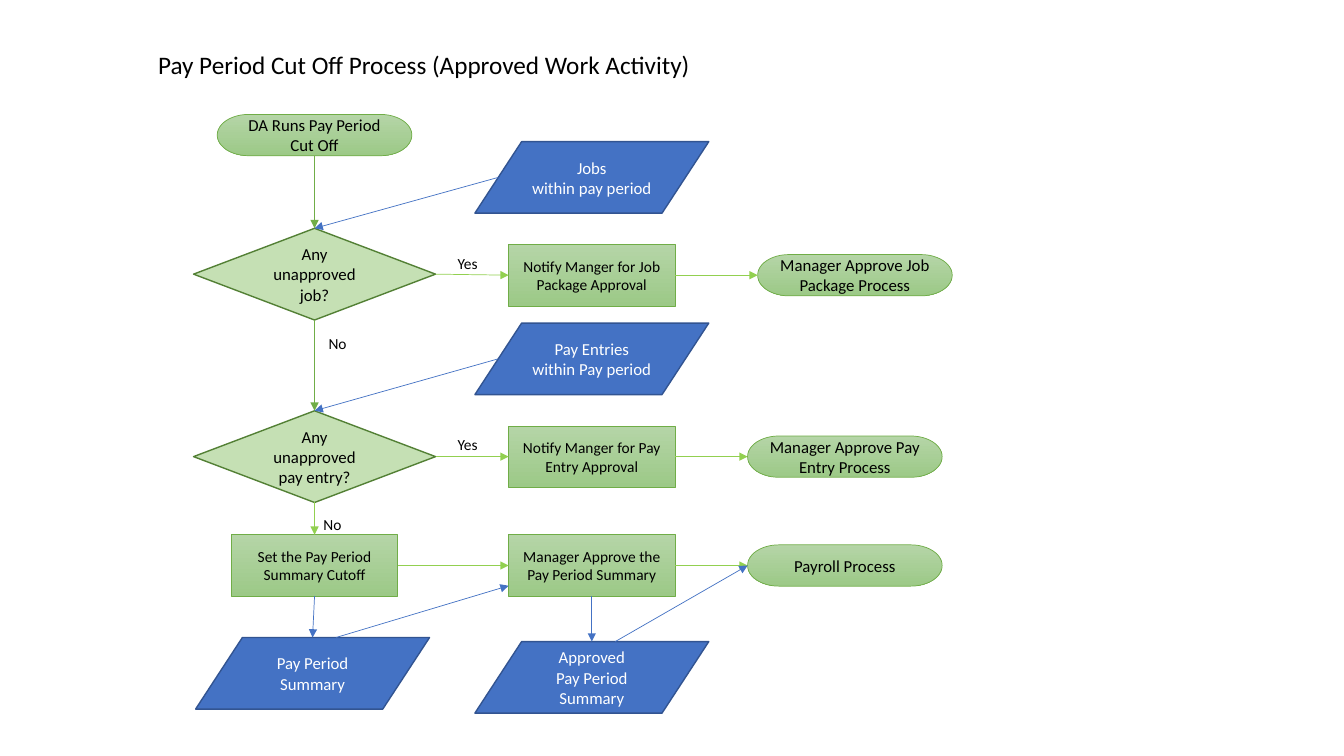
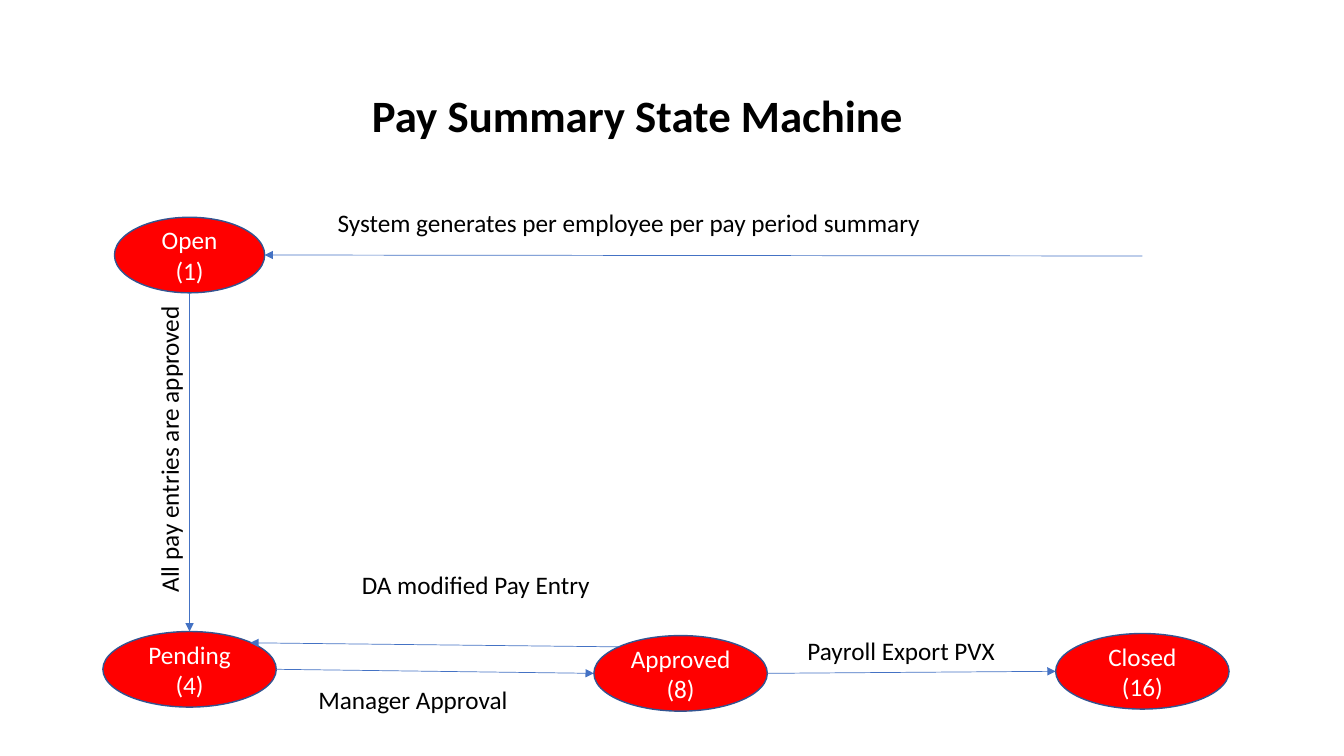
from lxml import etree
from pptx import Presentation
from pptx import util as u
from pptx.dml import color
from pptx.enum import shapes, text
from pptx.oxml import ns

FONT = "Calibri"
BLACK, WHITE = "000000", "FFFFFF"
BLUE, NAVY = "4472C4", "325491"
GREEN, LIME = "70AD47", "92D050"
KIND = shapes.MSO_SHAPE
TOP, LEFT, BOTTOM, RIGHT = (0.5, 0), (0, 0.5), (0.5, 1), (1, 0.5)
SITES = {TOP: 0, LEFT: 1, BOTTOM: 2, RIGHT: 3}
FOUR_SIDED = (KIND.FLOWCHART_PROCESS, KIND.FLOWCHART_DECISION, KIND.FLOWCHART_TERMINATOR)


def rgb(value):
    return color.RGBColor.from_string(value)


class Diagram:
    def __init__(self):
        self.deck = Presentation()
        self.deck.slide_width = u.Inches(13.33)
        self.deck.slide_height = u.Inches(7.5)
        self.page = None

    def new_page(self):
        self.page = self.deck.slides.add_slide(self.deck.slide_layouts[6])

    def set_words(self, box, words, size, ink, align, bold=False):
        frame = box.text_frame
        frame.text = words
        for para in frame.paragraphs:
            para.alignment = align
            for span in para.runs:
                span.font.name = FONT
                span.font.size = u.Pt(size)
                span.font.bold = bold
                span.font.color.rgb = rgb(ink)

    def label(self, words, left, top, width, height, size=18, bold=False, turn=0):
        box = self.page.shapes.add_textbox(
            u.Inches(left), u.Inches(top), u.Inches(width), u.Inches(height))
        box.rotation = turn
        box.text_frame.word_wrap = False
        box.text_frame.auto_size = text.MSO_AUTO_SIZE.SHAPE_TO_FIT_TEXT
        self.set_words(box, words, size, BLACK, text.PP_ALIGN.LEFT, bold)

    def node(self, kind, words, center, size, fill, edge, weight, font_size, ink):
        (x, y), (width, height) = center, size
        box = self.page.shapes.add_shape(
            kind, u.Inches(x - width / 2), u.Inches(y - height / 2),
            u.Inches(width), u.Inches(height))
        box.shadow.inherit = False
        if isinstance(fill, tuple):
            box.fill.gradient()
            box.fill.gradient_angle = 270
            for stop, shade in zip(box.fill.gradient_stops, fill):
                stop.color.rgb = rgb(shade)
        else:
            box.fill.solid()
            box.fill.fore_color.rgb = rgb(fill)
        box.line.color.rgb = rgb(edge)
        box.line.width = u.Pt(weight)
        box.text_frame.vertical_anchor = text.MSO_ANCHOR.MIDDLE
        self.set_words(box, words, font_size, ink, text.PP_ALIGN.CENTER)
        return box

    def soft_green(self, kind, words, x, y, size, font_size):
        return self.node(kind, words, (x, y), size, ("B5D5A7", "9CC987"),
                         GREEN, 0.5, font_size, BLACK)

    def terminator(self, words, x, y):
        return self.soft_green(KIND.FLOWCHART_TERMINATOR, words, x, y, (1.93, 0.41), 12)

    def process(self, words, x, y):
        return self.soft_green(KIND.FLOWCHART_PROCESS, words, x, y, (1.65, 0.61), 11)

    def decision(self, words, x, y):
        return self.node(KIND.FLOWCHART_DECISION, words, (x, y), (2.4, 0.91),
                         "C5E0B4", "538035", 1, 12, BLACK)

    def data(self, words, x, y):
        return self.node(KIND.FLOWCHART_DATA, words, (x, y), (2.32, 0.71),
                         BLUE, NAVY, 1, 12, WHITE)

    def state(self, words, x, y, width=1.72):
        return self.node(KIND.OVAL, words, (x, y), (width, 0.75),
                         "FF0000", NAVY, 1, 18, WHITE)

    def point(self, box, spot):
        return (box.left + round(box.width * spot[0]),
                box.top + round(box.height * spot[1]))

    def arrow(self, source, leave, target, enter, ink=BLUE):
        self.line(self.point(source, leave), self.point(target, enter), ink,
                  (source, leave), (target, enter))

    def line(self, start, end, ink=BLUE, source=None, target=None):
        link = self.page.shapes.add_connector(
            shapes.MSO_CONNECTOR.STRAIGHT, *start, *end)
        for joint, connect in ((source, link.begin_connect), (target, link.end_connect)):
            if joint:
                box, spot = joint
                if spot in SITES and box.auto_shape_type in FOUR_SIDED:
                    connect(box, SITES[spot])
        link.line.color.rgb = rgb(ink)
        link.line.width = u.Pt(0.5)
        properties = link._element.spPr
        head = etree.SubElement(properties.find(ns.qn("a:ln")), ns.qn("a:tailEnd"))
        head.set("type", "triangle")
        etree.SubElement(properties, ns.qn("a:effectLst"))


def cut_off_process(art):
    art.new_page()
    art.label("Pay Period Cut Off Process (Approved Work Activity)", 1.47, 0.44, 5.54, 0.4)
    first, second, third = 3.12, 5.87, 8.38
    job_row, entry_row, summary_row = 2.72, 4.53, 5.61
    data_edge, data_top = (0.1, 0.5), (0.6, 0)

    start = art.terminator("DA Runs Pay Period Cut Off", first, 1.34)
    jobs = art.data("Jobs\nwithin pay period", second, 1.76)
    entries = art.data("Pay Entries within Pay period", second, 3.56)
    any_job = art.decision("Any unapproved job?", first, job_row)
    any_entry = art.decision("Any unapproved pay entry?", first, entry_row)
    notify_job = art.process("Notify Manger for Job Package Approval", second, job_row + 0.01)
    notify_entry = art.process("Notify Manger for Pay Entry Approval", second, entry_row)
    approve_job = art.terminator("Manager Approve Job Package Process", third + 0.1, job_row + 0.01)
    approve_entry = art.terminator("Manager Approve Pay Entry Process", third, entry_row)
    cutoff = art.process("Set the Pay Period Summary Cutoff", first, summary_row)
    approve = art.process("Manager Approve the Pay Period Summary", second, summary_row)
    payroll = art.terminator("Payroll Process", third, summary_row)
    summary = art.data("Pay Period Summary", 3.1, 6.68)
    approved = art.data("Approved\nPay Period Summary", second, 6.72)

    for source, target, ink in ((start, any_job, GREEN), (any_job, any_entry, GREEN),
                                (any_entry, cutoff, LIME), (cutoff, summary, BLUE),
                                (approve, approved, BLUE)):
        art.arrow(source, BOTTOM, target, TOP, ink)
    for row in ((any_job, notify_job, approve_job),
                (any_entry, notify_entry, approve_entry),
                (cutoff, approve, payroll)):
        for source, target in zip(row, row[1:]):
            art.arrow(source, RIGHT, target, LEFT, LIME)
    art.arrow(jobs, data_edge, any_job, TOP)
    art.arrow(entries, data_edge, any_entry, TOP)
    art.arrow(summary, data_top, approve, (0, 0.83))
    art.arrow(approved, data_top, payroll, LEFT)

    for words, left, top, width in (("Yes", 4.44, 2.47, 0.41), ("Yes", 4.44, 4.27, 0.41),
                                    ("No", 3.16, 3.27, 0.38), ("No", 3.11, 5.06, 0.38)):
        art.label(words, left, top, width, 0.29, 11)


def state_machine(art):
    art.new_page()
    art.label("Pay Summary State Machine", 3.59, 0.82, 5.73, 0.64, 32, True)
    opened = art.state("Open (1)", 1.88, 2.53, 1.49)
    pending = art.state("Pending (4)", 1.88, 6.64)
    approved = art.state("Approved (8)", 6.75, 6.68)
    closed = art.state("Closed (16)", 11.33, 6.66)

    art.line((u.Inches(11.33), u.Inches(2.54)), art.point(opened, RIGHT))
    art.arrow(opened, BOTTOM, pending, TOP)
    art.arrow(pending, RIGHT, approved, LEFT)
    art.arrow(approved, RIGHT, closed, LEFT)
    art.arrow(approved, (0.15, 0.15), pending, (0.85, 0.15))

    art.label("System generates per employee per pay period summary", 3.25, 2.01, 6.05, 0.4)
    art.label("All pay entries are approved", 0.14, 4.24, 3.07, 0.4, turn=270)
    art.label("DA modified Pay Entry", 3.49, 5.6, 2.49, 0.4)
    art.label("Manager Approval", 3.06, 6.74, 2.1, 0.4)
    art.label("Payroll Export PVX", 7.91, 6.25, 2.11, 0.4)


def main():
    art = Diagram()
    cut_off_process(art)
    state_machine(art)
    art.deck.save("out.pptx")


if __name__ == "__main__":
    main()
